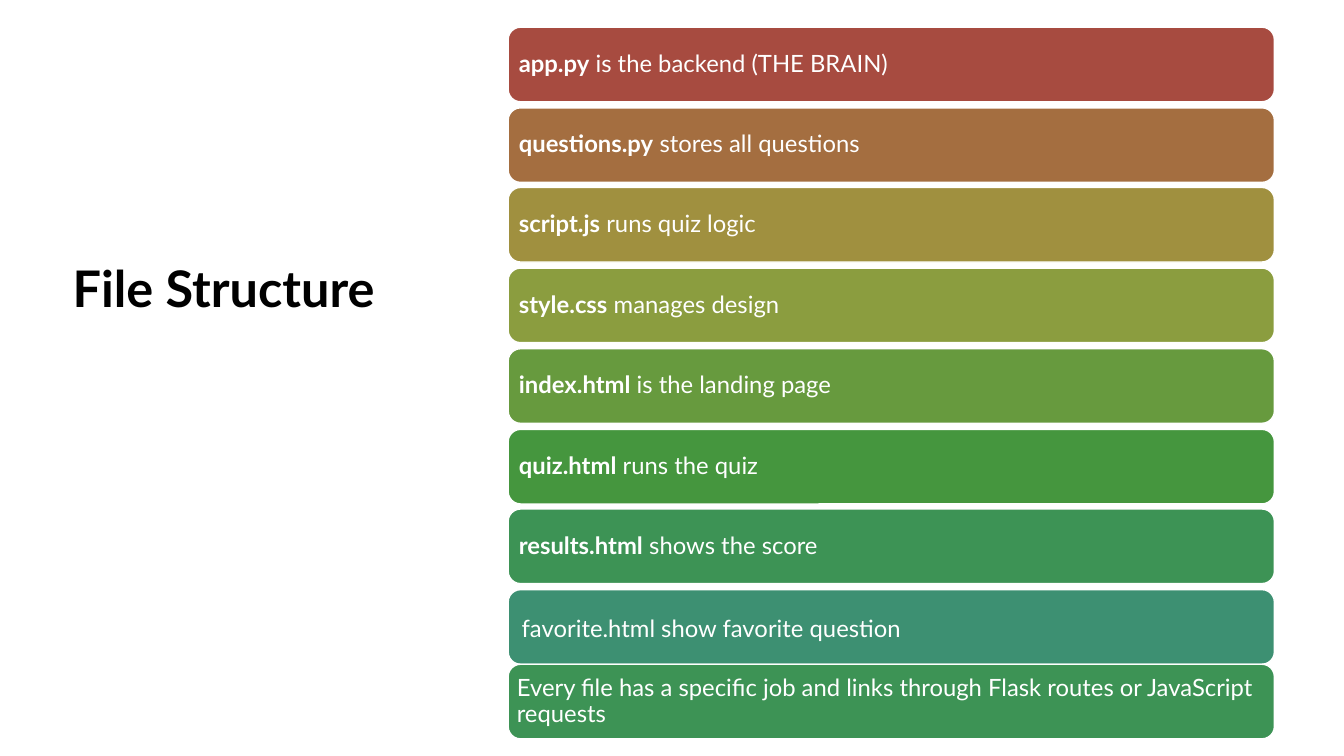
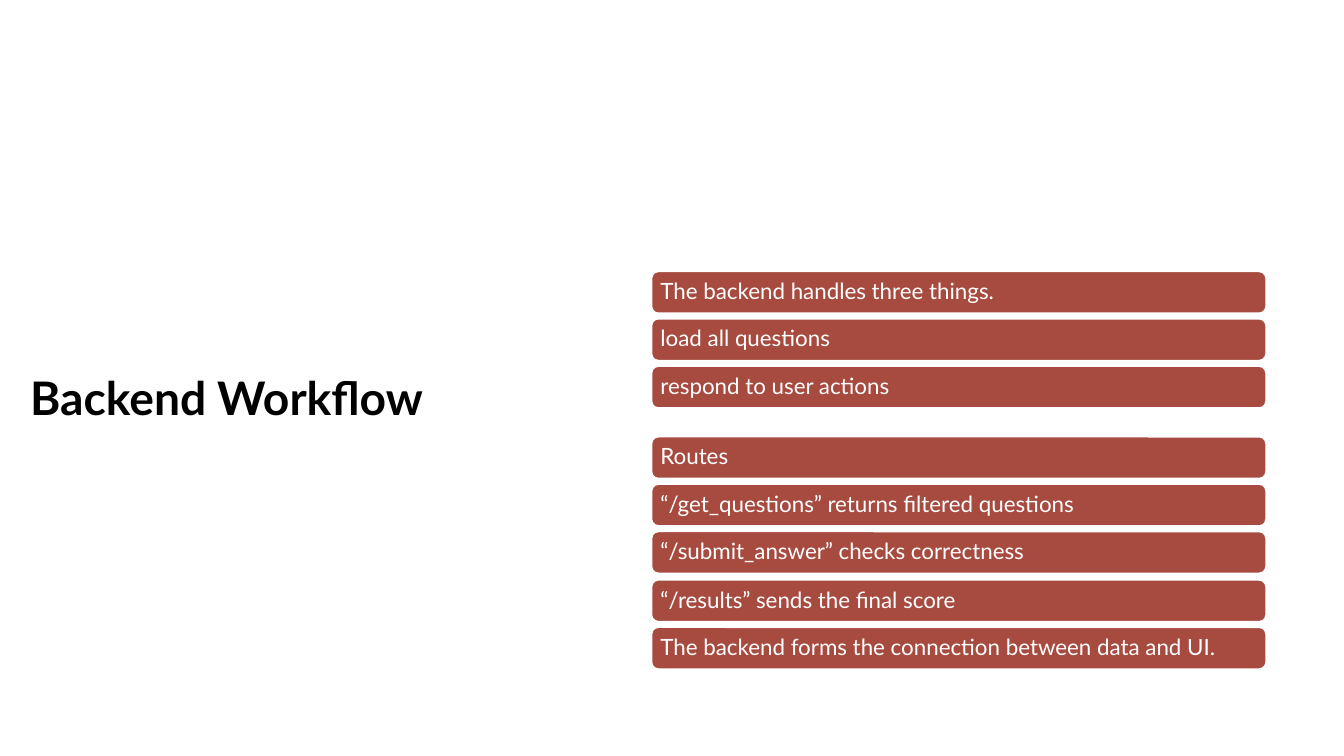
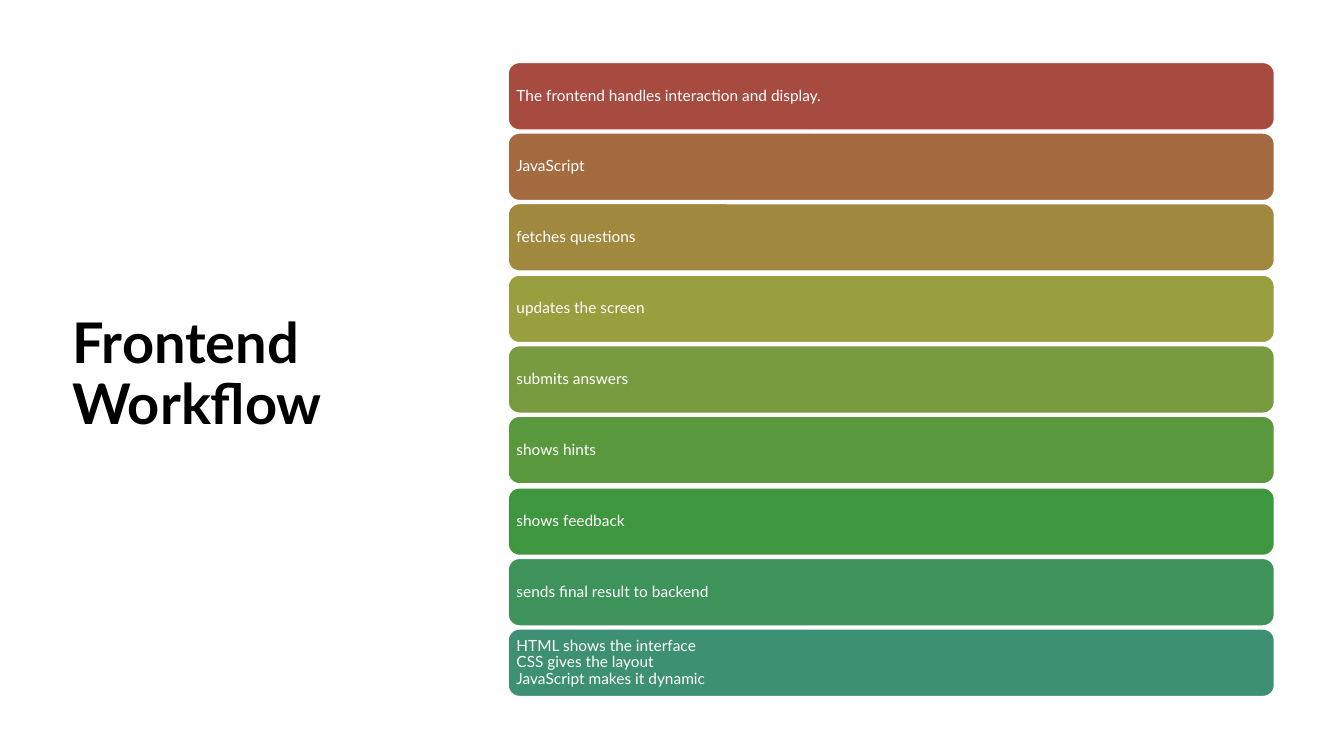
from dataclasses import dataclass

from pptx import Presentation
from pptx import util as u
from pptx.dml.color import RGBColor
from pptx.enum import shapes, text

FONT = "Lato"
WHITE, BLACK, RED = "FFFFFF", "000000", "A74B40"
GREEN, TEAL = "3D9355", "3D9072"
TOP, MIDDLE, BOTTOM = (text.MSO_ANCHOR.TOP, text.MSO_ANCHOR.MIDDLE,
                       text.MSO_ANCHOR.BOTTOM)


def px(n: int) -> u.Emu:
    """One inch holds 100 px."""
    return u.Emu(n * 9144)


def rgb(color: str) -> RGBColor:
    return RGBColor.from_string(color)


@dataclass
class Title:
    text: str
    box: tuple[int, int, int, int]
    size: int
    anchor: text.MSO_ANCHOR
    inset_top: int = 5
    inset_bottom: int = 5


@dataclass
class Bar:
    text: str
    fill: str = RED
    lead: str = ""  # bold opening words
    nudge: int = 0  # shifts the text right and down


@dataclass
class Stack:
    """Bars spread evenly from the first top to the last top."""
    bars: list[Bar]
    left: int
    first: int
    last: int
    width: int
    height: int
    size: int
    inset: int
    before: int
    line: float = 1


def put_text(sp, content: str, *, size: int, color: str, lead: str = "",
             bold: bool = False, anchor=MIDDLE, before: int = 0,
             insets: tuple[int, int, int, int] = (5, 5, 5, 5)) -> None:
    """Write text into a shape; insets are left, top, right, bottom."""
    tf = sp.text_frame
    tf.word_wrap = True
    tf.vertical_anchor = anchor
    (tf.margin_left, tf.margin_top,
     tf.margin_right, tf.margin_bottom) = map(px, insets)
    p = tf.paragraphs[0]
    p.alignment = text.PP_ALIGN.LEFT
    p.line_spacing = 0.9
    p.space_before = u.Pt(before)
    for i, row in enumerate(content.split("\n")):
        if i:
            p.add_line_break()
        runs = [(lead, True)] if lead and not i else []
        for words, heavy in runs + [(row, bold)]:
            r = p.add_run()
            r.text = words
            r.font.name, r.font.size, r.font.bold = FONT, u.Pt(size), heavy
            r.font.color.rgb = rgb(color)


def draw_title(slide, t: Title) -> None:
    sp = slide.shapes.add_textbox(*map(px, t.box))
    put_text(sp, t.text, size=t.size, color=BLACK, bold=True, anchor=t.anchor,
             insets=(5, t.inset_top, 5, t.inset_bottom))


def draw_stack(slide, s: Stack) -> None:
    steps = max(len(s.bars) - 1, 1)
    for i, bar in enumerate(s.bars):
        top = s.first + round(i * (s.last - s.first) / steps)
        sp = slide.shapes.add_shape(
            shapes.MSO_SHAPE.ROUNDED_RECTANGLE,
            px(s.left), px(top), px(s.width), px(s.height))
        sp.shadow.inherit = False
        sp.fill.solid()
        sp.fill.fore_color.rgb = rgb(bar.fill)
        sp.line.color.rgb = rgb(WHITE)
        sp.line.width = u.Pt(s.line)
        put_text(sp, bar.text, lead=bar.lead, size=s.size, color=WHITE,
                 before=s.before,
                 insets=(s.inset + bar.nudge, s.inset + 2 * bar.nudge,
                         s.inset, s.inset))


# Stack styles
WIDE = dict(left=504, width=760)
FILES = dict(**WIDE, height=74, size=17, before=7)
BACKEND = dict(left=646, width=610, height=42, size=16, inset=7, before=6,
               line=1.5)
FRONTEND = dict(**WIDE, height=67, size=11, inset=5, before=4)

SLIDES = [
    # File structure
    (Title("File Structure", (67, 203, 394, 239), 36, TOP, inset_top=59), [
        Stack([
            Bar(" is the backend (THE BRAIN)", RED, "app.py"),
            Bar(" stores all questions", "A46E40", "questions.py"),
            Bar(" runs quiz logic", "A0903F", "script.js"),
            Bar(" manages design", "8B9D3F", "style.css"),
            Bar(" is the landing page", "679A3E", "index.html"),
            Bar(" runs the quiz", "45963E", "quiz.html"),
            Bar(" shows the score", GREEN, "results.html"),
            Bar("favorite.html show favorite question", TEAL, nudge=3),
        ], first=27, last=585, inset=7, **FILES),
        Stack([
            Bar("Every file has a specific job and links through Flask routes "
                "or JavaScript requests", GREEN),
        ], first=659, last=659, inset=5, **FILES),
    ]),
    # Backend workflow
    (Title("Backend Workflow", (25, 103, 487, 378), 33, BOTTOM,
           inset_bottom=59), [
        Stack([
            Bar("The backend handles three things."),
            Bar("load all questions"),
            Bar("respond to user actions"),
        ], first=269, last=363, **BACKEND),
        Stack([
            Bar("Routes"),
            Bar("“/get_questions” returns filtered questions"),
            Bar("“/submit_answer” checks correctness"),
            Bar("“/results” sends the final score"),
            Bar("The backend forms the connection between data and UI."),
        ], first=433, last=622, **BACKEND),
    ]),
    # Frontend workflow
    (Title("Frontend Workflow", (67, 60, 382, 633), 40, MIDDLE,
           inset_bottom=12), [
        Stack([
            Bar("The frontend handles interaction and display."),
            Bar("JavaScript", "A46A40"),
            Bar("fetches questions", "A1883F"),
            Bar("updates the screen", "999E3F"),
            Bar("submits answers", "799B3F"),
            Bar("shows hints", "5A983E"),
            Bar("shows feedback", "3E963E"),
            Bar("sends final result to backend", "3D9359"),
            Bar("HTML shows the interface\nCSS gives the layout\n"
                "JavaScript makes it dynamic", TEAL),
        ], first=62, last=624, **FRONTEND),
    ]),
]


def main() -> None:
    prs = Presentation()
    prs.slide_width, prs.slide_height = u.Inches(13.33), u.Inches(7.5)
    for title, stacks in SLIDES:
        slide = prs.slides.add_slide(prs.slide_layouts[6])
        draw_title(slide, title)
        for stack in stacks:
            draw_stack(slide, stack)
    prs.save("out.pptx")


if __name__ == "__main__":
    main()
